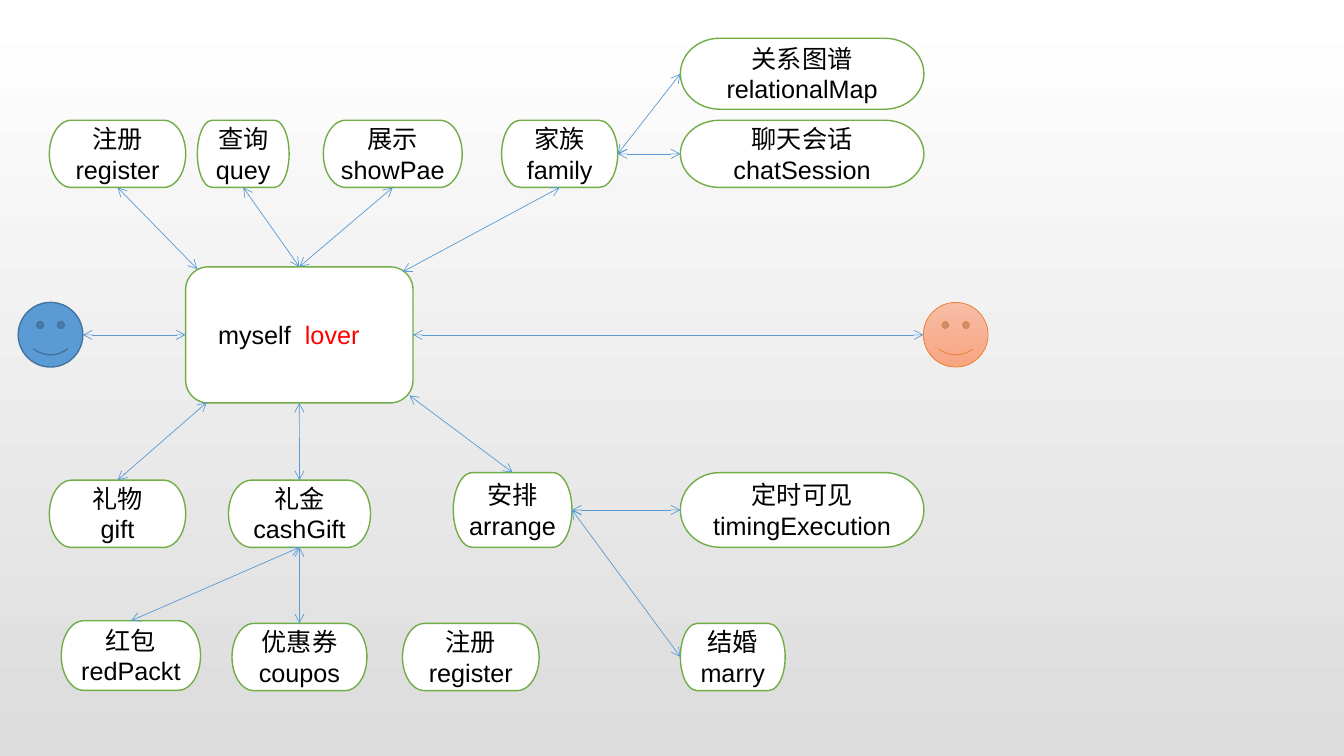
"""Build the feature map slide around the myself and lover hub."""
import enum
import typing
from dataclasses import dataclass

import lxml.etree
import pptx
import pptx.dml.color
import pptx.enum.shapes
import pptx.enum.text
import pptx.oxml.ns
import pptx.util

Pt = pptx.util.Pt
SHAPES = pptx.enum.shapes.MSO_SHAPE


def rgb(value: str) -> pptx.dml.color.RGBColor:
    return pptx.dml.color.RGBColor.from_string(value)


@dataclass(frozen=True)
class Theme:
    font: str = "Arial"
    text_size: float = 18
    text: str = "000000"
    accent: str = "FF0000"
    box_fill: str = "FFFFFF"
    box_line: str = "70AD47"
    link: str = "5B9BD5"
    background: tuple[str, str] = ("FFFFFF", "DCDCDC")
    own_face: tuple[str, str] = ("5B9BD5", "5B9BD5")
    own_outline: str = "43739E"
    lover_face: tuple[str, str] = ("F7BDA5", "F8A582")
    lover_outline: str = "ED7D31"


THEME = Theme()


class Side(enum.IntEnum):
    TOP = 0
    LEFT = 1
    BOTTOM = 2
    RIGHT = 3


@dataclass(frozen=True)
class Box:
    key: str
    text: str
    left: float
    top: float
    width: float
    height: float = 48


@dataclass(frozen=True)
class Face:
    left: float
    fill: tuple[str, str]
    outline: str
    outline_width: float


@dataclass(frozen=True)
class Joint:
    key: str
    side: Side


@dataclass(frozen=True)
class Point:
    x: float
    y: float


End = typing.Union[Joint, Point]


@dataclass(frozen=True)
class Link:
    start: End
    finish: End


TOP_ROW, GIFT_ROW, LOWER_ROW = 85.9, 343, 445.3
RIGHT_COLUMN, WIDE = 486, 174
FACE_TOP, FACE_SIZE, MIDDLE = 216, 46.2, 239.2
HUB = Box("hub", "", 132.6, 190.6, 162.4, 97.2)

BOXES = [
    Box("register", "注册\nregister", 35.3, TOP_ROW, 97.4),
    Box("query", "查询\nquey", 141, TOP_ROW, 65.5),
    Box("show", "展示\nshowPae", 231, TOP_ROW, 99.2),
    Box("family", "家族\nfamily", 358.3, TOP_ROW, 83),
    Box("chat", "聊天会话\nchatSession", RIGHT_COLUMN, TOP_ROW, WIDE),
    Box("relation", "关系图谱\nrelationalMap", RIGHT_COLUMN, 27.3, WIDE, 50.7),
    Box("gift", "礼物\ngift", 35.3, GIFT_ROW, 97.4),
    Box("cash", "礼金\ncashGift", 163.2, GIFT_ROW, 101.5),
    Box("arrange", "安排\narrange", 323.8, 337.6, 84.8, 53.3),
    Box("timing", "定时可见\ntimingExecution", RIGHT_COLUMN, 337.6, WIDE, 53.3),
    Box("packet", "红包\nredPackt", 43.8, 443.4, 99.5, 49.7),
    Box("coupons", "优惠券\ncoupos", 165.7, LOWER_ROW, 96.4),
    Box("register again", "注册\nregister", 287.5, LOWER_ROW, 97.6),
    Box("marry", "结婚\nmarry", RIGHT_COLUMN, LOWER_ROW, 74.9),
]

FACES = [
    Face(13, THEME.own_face, THEME.own_outline, 1),
    Face(659.6, THEME.lover_face, THEME.lover_outline, 0.5),
]

LINKS = [
    Link(Joint("query", Side.BOTTOM), Joint("hub", Side.TOP)),
    Link(Joint("show", Side.BOTTOM), Joint("hub", Side.TOP)),
    Link(Joint("register", Side.BOTTOM), Point(141, 192.3)),
    Link(Joint("family", Side.BOTTOM), Point(287.6, 194.2)),
    Link(Joint("relation", Side.LEFT), Joint("family", Side.RIGHT)),
    Link(Joint("chat", Side.LEFT), Joint("family", Side.RIGHT)),
    Link(Joint("hub", Side.LEFT), Point(FACES[0].left + FACE_SIZE, MIDDLE)),
    Link(Point(FACES[1].left, MIDDLE), Joint("hub", Side.RIGHT)),
    Link(Point(147.8, 287.4), Joint("gift", Side.TOP)),
    Link(Joint("hub", Side.BOTTOM), Joint("cash", Side.TOP)),
    Link(Point(292.4, 282.4), Joint("arrange", Side.TOP)),
    Link(Joint("cash", Side.BOTTOM), Joint("packet", Side.TOP)),
    Link(Joint("cash", Side.BOTTOM), Joint("coupons", Side.TOP)),
    Link(Joint("arrange", Side.RIGHT), Joint("timing", Side.LEFT)),
    Link(Joint("arrange", Side.RIGHT), Joint("marry", Side.LEFT)),
]


def paint_gradient(fill, colours: tuple[str, str]) -> None:
    fill.gradient()
    fill.gradient_angle = 270
    for stop, colour in zip(fill.gradient_stops, colours):
        stop.color.rgb = rgb(colour)


def style_run(span, colour: str) -> None:
    span.font.name = THEME.font
    span.font.size = Pt(THEME.text_size)
    span.font.color.rgb = rgb(colour)


def draw_box(page, box: Box, preset=SHAPES.FLOWCHART_TERMINATOR):
    shape = page.shapes.add_shape(
        preset, Pt(box.left), Pt(box.top), Pt(box.width), Pt(box.height))
    shape.shadow.inherit = False
    shape.fill.solid()
    shape.fill.fore_color.rgb = rgb(THEME.box_fill)
    shape.line.color.rgb = rgb(THEME.box_line)
    shape.line.width = Pt(1)
    frame = shape.text_frame
    frame.margin_left = frame.margin_right = frame.margin_top = frame.margin_bottom = 0
    frame.vertical_anchor = pptx.enum.text.MSO_ANCHOR.MIDDLE
    frame.text = box.text
    for para in frame.paragraphs:
        para.alignment = pptx.enum.text.PP_ALIGN.CENTER
        for span in para.runs:
            style_run(span, THEME.text)
    return shape


def draw_hub(page):
    shape = draw_box(page, HUB, SHAPES.FLOWCHART_ALTERNATE_PROCESS)
    shape.text_frame.margin_right = Pt(15)
    para = shape.text_frame.paragraphs[0]
    for text, colour in (("myself  ", THEME.text), ("lover", THEME.accent)):
        span = para.add_run()
        span.text = text
        style_run(span, colour)
    return shape


def draw_face(page, face: Face) -> None:
    shape = page.shapes.add_shape(
        SHAPES.SMILEY_FACE, Pt(face.left), Pt(FACE_TOP), Pt(FACE_SIZE), Pt(FACE_SIZE))
    shape.shadow.inherit = False
    paint_gradient(shape.fill, face.fill)
    shape.line.color.rgb = rgb(face.outline)
    shape.line.width = Pt(face.outline_width)


def draw_link(page, link: Link, shapes: dict) -> None:
    line = page.shapes.add_connector(pptx.enum.shapes.MSO_CONNECTOR.STRAIGHT, 0, 0, 0, 0)
    if isinstance(link.start, Point):
        line.begin_x, line.begin_y = Pt(link.start.x), Pt(link.start.y)
    else:
        line.begin_connect(shapes[link.start.key], link.start.side.value)
    if isinstance(link.finish, Point):
        line.end_x, line.end_y = Pt(link.finish.x), Pt(link.finish.y)
    else:
        line.end_connect(shapes[link.finish.key], link.finish.side.value)
    line.line.color.rgb = rgb(THEME.link)
    line.line.width = Pt(0.5)
    outline = line.line._get_or_add_ln()
    for tag in ("a:headEnd", "a:tailEnd"):
        lxml.etree.SubElement(outline, pptx.oxml.ns.qn(tag), type="arrow")
    lxml.etree.SubElement(line._element.spPr, pptx.oxml.ns.qn("a:effectLst"))


def main() -> None:
    deck = pptx.Presentation()
    deck.slide_width, deck.slide_height = Pt(960), Pt(540)
    page = deck.slides.add_slide(deck.slide_layouts[6])
    paint_gradient(page.background.fill, THEME.background)
    shapes = {"hub": draw_hub(page)}
    for box in BOXES:
        shapes[box.key] = draw_box(page, box)
    for face in FACES:
        draw_face(page, face)
    for link in LINKS:
        draw_link(page, link, shapes)
    deck.save("out.pptx")


if __name__ == "__main__":
    main()
